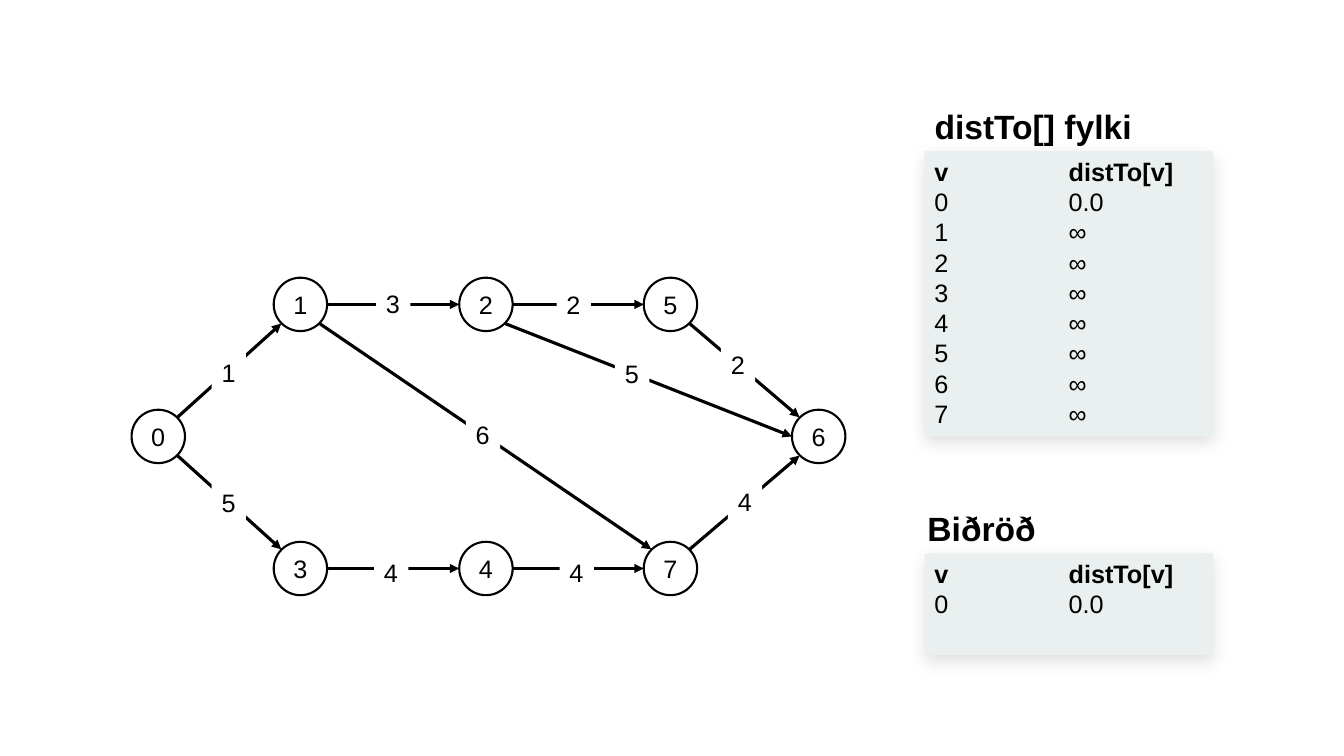
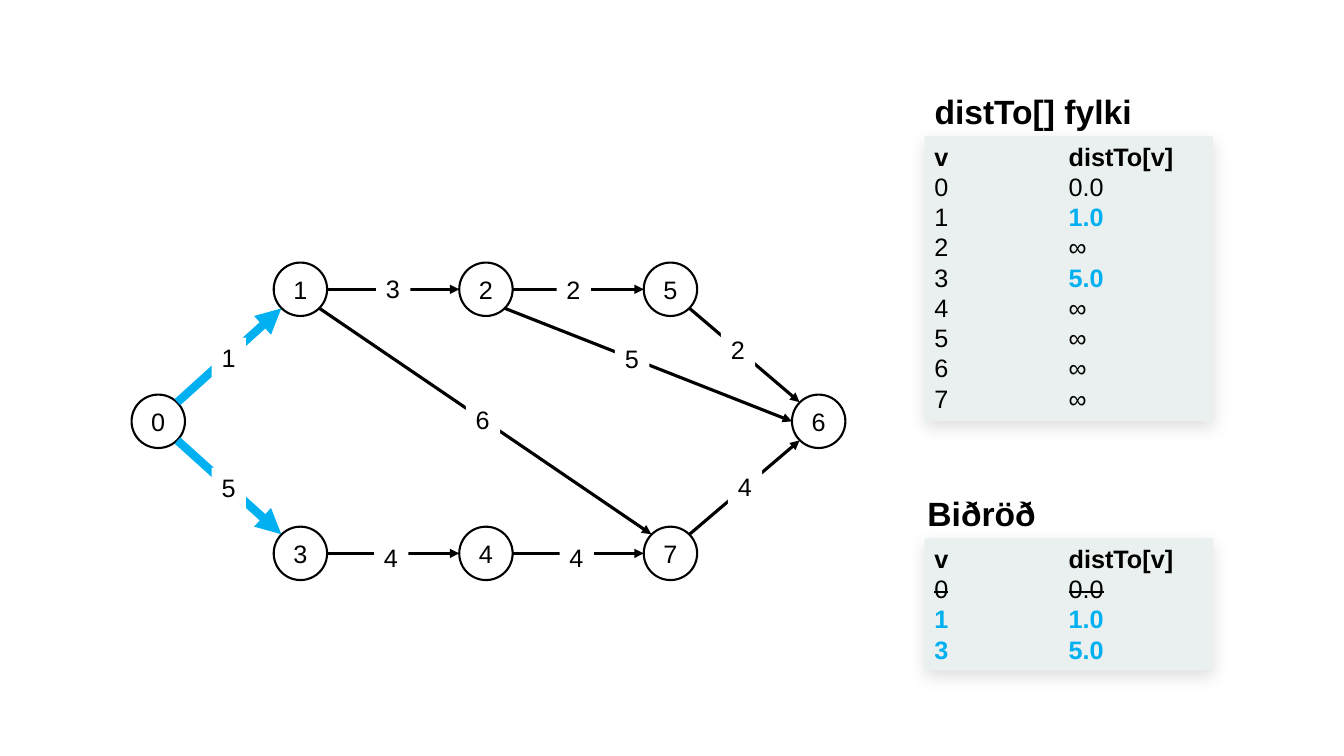
from lxml import etree
from pptx import Presentation
from pptx.dml.color import RGBColor
from pptx.enum.shapes import MSO_CONNECTOR as Connector, MSO_SHAPE as Shape
from pptx.enum.text import MSO_ANCHOR as Anchor, PP_ALIGN as Align
from pptx.oxml import parse_xml
from pptx.oxml.ns import nsdecls, qn
from pptx.util import Inches, Pt

BLACK = RGBColor(0, 0, 0)
WHITE = RGBColor(255, 255, 255)
PANEL = RGBColor(0xEA, 0xF0, 0xEF)
BLUE = RGBColor(0x00, 0xB0, 0xF0)

SHADOW = (f'<a:effectLst {nsdecls("a")}>'
          '<a:outerShdw blurRad="158750" dist="50800" dir="5400000" algn="t" rotWithShape="0">'
          '<a:srgbClr val="000000"><a:alpha val="13000"/></a:srgbClr>'
          '</a:outerShdw></a:effectLst>')

# Text styles of the panel cells
PLAIN = {}
BOLD = {"bold": True}
NEW = {"bold": True, "color": BLUE}
DONE = {"strike": True}

# Graph: node centres stand in five columns and three rows
NODE_SIZE = 0.53
CORNER = 0.19
COLUMNS = [1.57, 2.98, 4.82, 6.65, 8.12]
ROWS = [3.02, 4.33, 5.64]
NODES = {0: (0, 1), 1: (1, 0), 3: (1, 2), 2: (2, 0), 4: (2, 2),
         5: (3, 0), 7: (3, 2), 6: (4, 1)}
LEFT, RIGHT = (-NODE_SIZE / 2, 0), (NODE_SIZE / 2, 0)
TOP_LEFT, TOP_RIGHT = (-CORNER, -CORNER), (CORNER, -CORNER)
LOW_LEFT, LOW_RIGHT = (-CORNER, CORNER), (CORNER, CORNER)

# From, to, exit point, entry point, weight, left and top of the weight
EDGES = [
    (0, 1, TOP_RIGHT, LOW_LEFT, 1, 2.1, 3.5),
    (0, 3, LOW_RIGHT, TOP_LEFT, 5, 2.1, 4.79),
    (1, 2, RIGHT, LEFT, 3, 3.73, 2.81),
    (2, 5, RIGHT, LEFT, 2, 5.52, 2.82),
    (3, 4, RIGHT, LEFT, 4, 3.71, 5.48),
    (4, 7, RIGHT, LEFT, 4, 5.55, 5.48),
    (1, 7, LOW_RIGHT, TOP_LEFT, 6, 4.62, 4.11),
    (2, 6, LOW_RIGHT, LEFT, 5, 6.1, 3.51),
    (5, 6, LOW_RIGHT, TOP_LEFT, 2, 7.15, 3.42),
    (7, 6, TOP_RIGHT, LOW_LEFT, 4, 7.22, 4.78),
]

# Steps of the algorithm, one per slide
STEPS = [
    {"rise": 0, "distances": {0: "0.0"}, "new": [],
     "queue": [(0, DONE | {"strike": False})], "queue_height": 1.01, "free_rows": 1},
    {"rise": 0.15, "distances": {0: "0.0", 1: "1.0", 3: "5.0"}, "new": [1, 3],
     "queue": [(0, DONE), (1, NEW), (3, NEW)], "queue_height": 1.31, "free_rows": 0},
]


def add_text(paragraph, text, size=18, bold=False, color=BLACK, strike=False,
             align=Align.LEFT, spacing=None):
    paragraph.alignment = align
    paragraph.line_spacing = spacing
    run = paragraph.add_run()
    run.text = str(text)
    run.font.name = "Arial"
    run.font.size = Pt(size)
    run.font.bold = bold
    run.font.color.rgb = color
    if strike:
        run._r.get_or_add_rPr().set("strike", "sngStrike")


def add_filled(slide, kind, left, top, width, height, fill):
    shape = slide.shapes.add_shape(kind, Inches(left), Inches(top), Inches(width), Inches(height))
    shape.shadow.inherit = False
    shape.fill.solid()
    shape.fill.fore_color.rgb = fill
    shape.line.fill.background()
    return shape


deck = Presentation()
deck.slide_width, deck.slide_height = Inches(13.33), Inches(7.5)

for step in STEPS:
    slide = deck.slides.add_slide(deck.slide_layouts[6])
    rise = step["rise"]
    distances = step["distances"]

    # Panels: headings over two-column lists
    distance_rows = [(v, PLAIN, distances.get(v, "∞"), NEW if v in step["new"] else PLAIN)
                     for v in range(8)]
    queue_rows = [(v, style, distances[v], style) for v, style in step["queue"]]
    panels = [("distTo[] fylki", 9.17, 2.18, 1.5, 2.83, distance_rows, 0),
              ("Biðröð", 9.1, 1.29, 5.49, step["queue_height"], queue_rows, step["free_rows"])]
    for title, title_left, title_width, top, height, rows, free_rows in panels:
        panel = add_filled(slide, Shape.RECTANGLE, 9.17, top - rise, 2.86, height, PANEL)
        properties = panel._element.spPr
        properties.remove(properties.find(qn("a:effectLst")))
        properties.append(parse_xml(SHADOW))
        frame = panel.text_frame
        frame.word_wrap = True
        frame.vertical_anchor = Anchor.TOP
        frame.margin_bottom = Inches(0.05 + 0.3 * free_rows)
        frame._txBody.bodyPr.set("numCol", "2")
        cells = [("v", BOLD)] + [(v, style) for v, style, _, _ in rows]
        cells += [("distTo[v]", BOLD)] + [(distance, style) for _, _, distance, style in rows]
        for index, (text, style) in enumerate(cells):
            paragraph = frame.add_paragraph() if index else frame.paragraphs[0]
            add_text(paragraph, text, spacing=Pt(21.6), **style)

        heading = slide.shapes.add_textbox(Inches(title_left), Inches(top - 0.5 - rise),
                                           Inches(title_width), Inches(0.5))
        heading.text_frame.word_wrap = False
        add_text(heading.text_frame.paragraphs[0], title, size=24, bold=True)

    # Nodes
    centres = {}
    for name, (column, row) in NODES.items():
        x, y = centres[name] = COLUMNS[column], ROWS[row] - rise
        node = add_filled(slide, Shape.OVAL, x - NODE_SIZE / 2, y - NODE_SIZE / 2,
                          NODE_SIZE, NODE_SIZE, WHITE)
        node.line.color.rgb = BLACK
        node.line.width = Pt(1.5)
        node.text_frame.word_wrap = False
        node.text_frame.vertical_anchor = Anchor.MIDDLE
        add_text(node.text_frame.paragraphs[0], name, align=Align.CENTER)

    # Edges with their weights; edges that were just relaxed are blue
    for start, end, leave, enter, weight, left, top in EDGES:
        (x1, y1), (x2, y2) = centres[start], centres[end]
        edge = slide.shapes.add_connector(
            Connector.STRAIGHT, Inches(x1 + leave[0]), Inches(y1 + leave[1]),
            Inches(x2 + enter[0]), Inches(y2 + enter[1]))
        relaxed = start == 0 and end in step["new"]
        edge.line.color.rgb = BLUE if relaxed else BLACK
        edge.line.width = Pt(6 if relaxed else 2.25)
        etree.SubElement(edge.line._get_or_add_ln(), qn("a:tailEnd"), type="triangle")
        etree.SubElement(edge._element.spPr, qn("a:effectLst"))

        label = add_filled(slide, Shape.RECTANGLE, left, top - rise, 0.34, 0.4, WHITE)
        label.text_frame.word_wrap = False
        label.text_frame.vertical_anchor = Anchor.TOP
        add_text(label.text_frame.paragraphs[0], weight)

deck.save("out.pptx")
